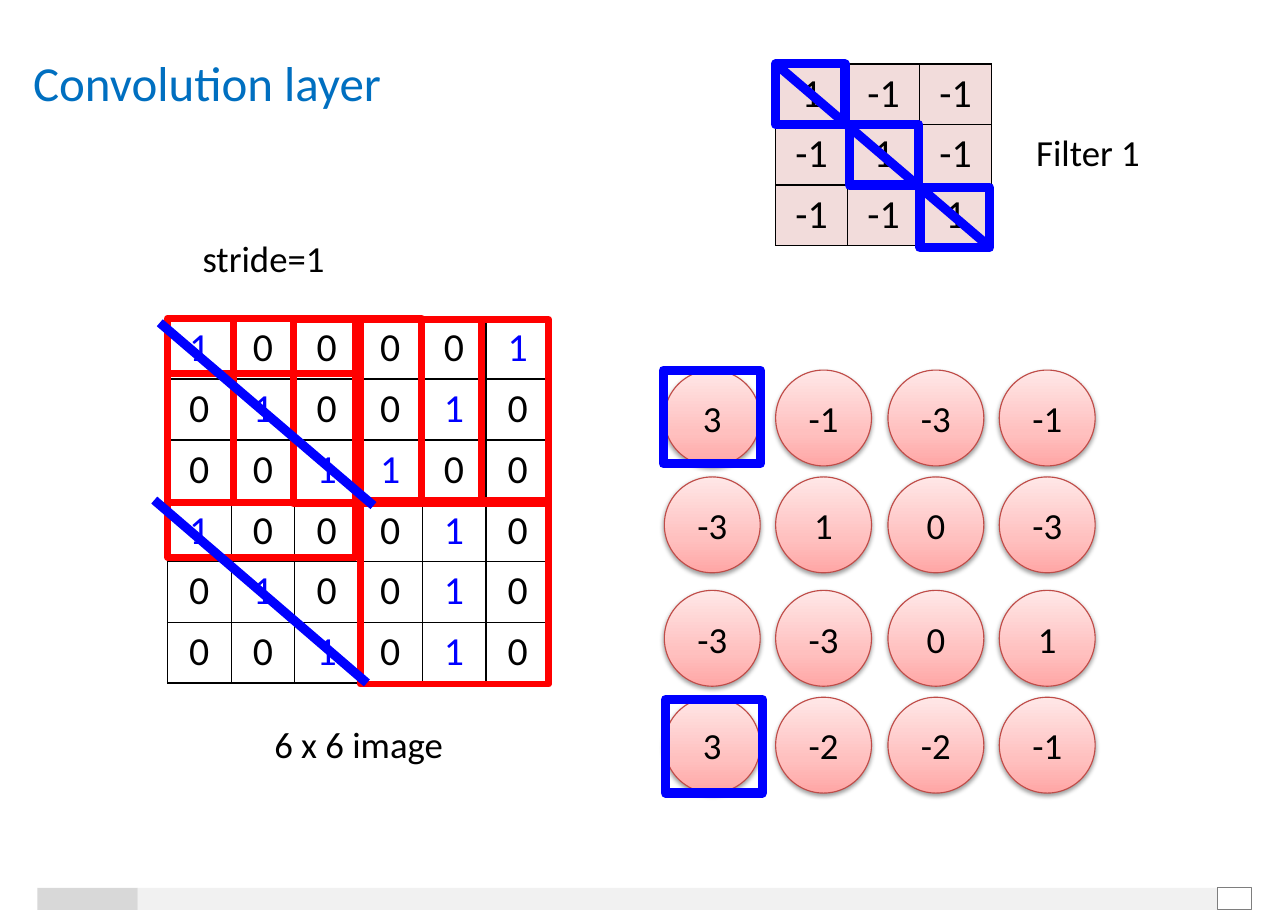
from dataclasses import dataclass

from lxml.etree import SubElement
from pptx import Presentation
from pptx.dml.color import RGBColor
from pptx.enum.shapes import MSO_CONNECTOR as Connector, MSO_SHAPE as Preset
from pptx.enum.text import MSO_ANCHOR as Anchor, PP_ALIGN as Align
from pptx.oxml import parse_xml
from pptx.oxml.ns import nsdecls, qn
from pptx.util import Inches, Pt

BLACK, WHITE, RED, BLUE = "000000", "FFFFFF", "FF0000", "0000FF"
GRADIENT = (
    f'<a:gradFill {nsdecls("a")} rotWithShape="1"><a:gsLst>'
    '<a:gs pos="0"><a:srgbClr val="FFA6A5"/></a:gs>'
    '<a:gs pos="35000"><a:srgbClr val="FFC0BF"/></a:gs>'
    '<a:gs pos="100000"><a:srgbClr val="FFE7E7"/></a:gs>'
    '</a:gsLst><a:lin ang="16200000" scaled="1"/></a:gradFill>'
)
SHADOW = (
    f'<a:outerShdw {nsdecls("a")} blurRad="40000" dist="20000" dir="5400000" rotWithShape="0">'
    '<a:srgbClr val="000000"><a:alpha val="38000"/></a:srgbClr></a:outerShdw>'
)


@dataclass
class Box:
    left: float
    top: float
    width: float
    height: float

    def lengths(self):
        return [Inches(value) for value in (self.left, self.top, self.width, self.height)]


@dataclass
class Label:
    text: str
    box: Box
    align: Align = Align.CENTER
    size: float = 24
    color: str = BLACK
    wrap: bool = True
    margins: bool = True


@dataclass
class Matrix:
    box: Box
    rows: list[str]
    fill: str | None
    one_color: str


@dataclass
class Stroke:
    start: tuple[float, float]
    end: tuple[float, float]


IMAGE = Matrix(
    Box(1.52, 2.89, 3.47, 3.31),
    ["1 0 0 0 0 1", "0 1 0 0 1 0", "0 0 1 1 0 0",
     "1 0 0 0 1 0", "0 1 0 0 1 0", "0 0 1 0 1 0"],
    None, BLUE,
)
FILTER = Matrix(Box(7.04, 0.58, 1.96, 1.65), ["1 -1 -1", "-1 1 -1", "-1 -1 1"], "F2DCDB", BLACK)
LABELS = [
    Label("6 x 6 image", Box(1.84, 6.5, 2.83, 0.5)),
    Label("Filter 1", Box(9, 1.13, 1.75, 0.5)),
    Label("stride=1", Box(1.74, 2.09, 1.32, 0.5), Align.LEFT, wrap=False),
    Label("Convolution layer", Box(0.3, 0.48, 10.47, 0.54), Align.LEFT, 32, "006FC0", margins=False),
]
FEATURE_MAP = ["3 -1 -3 -1", "-3 1 0 -3", "-3 -3 0 1", "3 -2 -2 -1"]
CIRCLE_LEFTS = [6.03, 7.04, 8.06, 9.07]
CIRCLE_TOPS = [3.36, 4.33, 5.36, 6.33]
CIRCLE_SIZE = 0.87
WINDOW_CORNERS = [(1.52, 2.89), (2.12, 2.89), (2.66, 2.9), (3.27, 2.9), (1.52, 3.39), (3.27, 4.54)]
BLUE_FRAMES = [
    Box(7.04, 0.58, 0.63, 0.55), Box(7.71, 1.13, 0.63, 0.55), Box(8.35, 1.7, 0.63, 0.55),
    Box(6.02, 3.36, 0.88, 0.85), Box(6.04, 6.35, 0.88, 0.85),
]
DIAGONALS = [
    Stroke((7.04, 0.58), (8.98, 2.24)),
    Stroke((1.45, 2.93), (3.39, 4.59)),
    Stroke((1.4, 4.54), (3.33, 6.2)),
]


def rgb(color: str) -> RGBColor:
    return RGBColor.from_string(color)


def format_paragraph(paragraph, size: float, color: str, align: Align) -> None:
    paragraph.alignment = align
    for run in paragraph.runs:
        run.font.name = "Calibri"
        run.font.size = Pt(size)
        run.font.color.rgb = rgb(color)


def draw_rectangle(slide, box: Box, fill: str | None, line: str | None, weight: float = 0) -> None:
    shape = slide.shapes.add_shape(Preset.RECTANGLE, *box.lengths())
    shape.shadow.inherit = False
    if fill:
        shape.fill.solid()
        shape.fill.fore_color.rgb = rgb(fill)
    else:
        shape.fill.background()
    if line:
        shape.line.color.rgb = rgb(line)
        shape.line.width = Pt(weight)
    else:
        shape.line.fill.background()


def draw_label(slide, label: Label) -> None:
    frame = slide.shapes.add_textbox(*label.box.lengths()).text_frame
    frame.word_wrap = label.wrap
    if not label.margins:
        frame.margin_left = frame.margin_top = frame.margin_right = frame.margin_bottom = 0
    frame.text = label.text
    format_paragraph(frame.paragraphs[0], label.size, label.color, label.align)


def border_cell(cell) -> None:
    properties = cell._tc.get_or_add_tcPr()
    for index, side in enumerate(("lnL", "lnR", "lnT", "lnB")):
        border = properties.makeelement(qn(f"a:{side}"), {"w": str(Pt(1))})
        fill = SubElement(border, qn("a:solidFill"))
        SubElement(fill, qn("a:srgbClr"), val=BLACK)
        properties.insert(index, border)


def draw_matrix(slide, matrix: Matrix) -> None:
    values = [row.split() for row in matrix.rows]
    count = len(values)
    table = slide.shapes.add_table(count, count, *matrix.box.lengths()).table
    table.first_row = table.horz_banding = False
    for column in table.columns:
        column.width = Inches(matrix.box.width / count)
    for row, texts in zip(table.rows, values):
        row.height = Inches(matrix.box.height / count)
        for cell, text in zip(row.cells, texts):
            cell.margin_left = cell.margin_right = Inches(0.11)
            cell.margin_top = cell.margin_bottom = Inches(0.05)
            if matrix.fill:
                cell.fill.solid()
                cell.fill.fore_color.rgb = rgb(matrix.fill)
            else:
                cell.fill.background()
            border_cell(cell)
            cell.text_frame.text = text
            color = matrix.one_color if text == "1" else BLACK
            format_paragraph(cell.text_frame.paragraphs[0], 26, color, Align.CENTER)


def draw_circle(slide, left: float, top: float, text: str) -> None:
    shape = slide.shapes.add_shape(Preset.OVAL, *Box(left, top, CIRCLE_SIZE, CIRCLE_SIZE).lengths())
    shape.shadow.inherit = False
    shape.fill.background()
    shape.line.color.rgb = rgb("BF4C48")
    shape.line.width = Pt(0.75)
    properties = shape._element.spPr
    properties.replace(properties.find(qn("a:noFill")), parse_xml(GRADIENT))
    properties.find(qn("a:effectLst")).append(parse_xml(SHADOW))
    shape.text_frame.text = text
    shape.text_frame.vertical_anchor = Anchor.MIDDLE
    format_paragraph(shape.text_frame.paragraphs[0], 24, BLACK, Align.CENTER)


def draw_stroke(slide, stroke: Stroke) -> None:
    points = [Inches(value) for value in (*stroke.start, *stroke.end)]
    connector = slide.shapes.add_connector(Connector.STRAIGHT, *points)
    connector.line.color.rgb = rgb(BLUE)
    connector.line.width = Pt(6)
    SubElement(connector._element.spPr, qn("a:effectLst"))


def main() -> None:
    presentation = Presentation()
    presentation.slide_width = Inches(11.69)
    presentation.slide_height = Inches(8.27)
    slide = presentation.slides.add_slide(presentation.slide_layouts[6])

    draw_rectangle(slide, Box(1.25, 8.06, 9.8, 0.2), "F1F1F1", None)
    draw_rectangle(slide, Box(0.34, 8.06, 0.91, 0.2), "D8D8D8", None)
    draw_rectangle(slide, Box(11.05, 8.06, 0.31, 0.2), WHITE, "7E7E7E", 0.5)
    for matrix in (IMAGE, FILTER):
        draw_matrix(slide, matrix)
    for label in LABELS:
        draw_label(slide, label)
    for top, row in zip(CIRCLE_TOPS, FEATURE_MAP):
        for left, text in zip(CIRCLE_LEFTS, row.split()):
            draw_circle(slide, left, top, text)
    for left, top in WINDOW_CORNERS:
        draw_rectangle(slide, Box(left, top, 1.71, 1.67), None, RED, 4.5)
    for frame in BLUE_FRAMES:
        draw_rectangle(slide, frame, None, BLUE, 6)
    for stroke in DIAGONALS:
        draw_stroke(slide, stroke)

    presentation.save("out.pptx")


if __name__ == "__main__":
    main()
